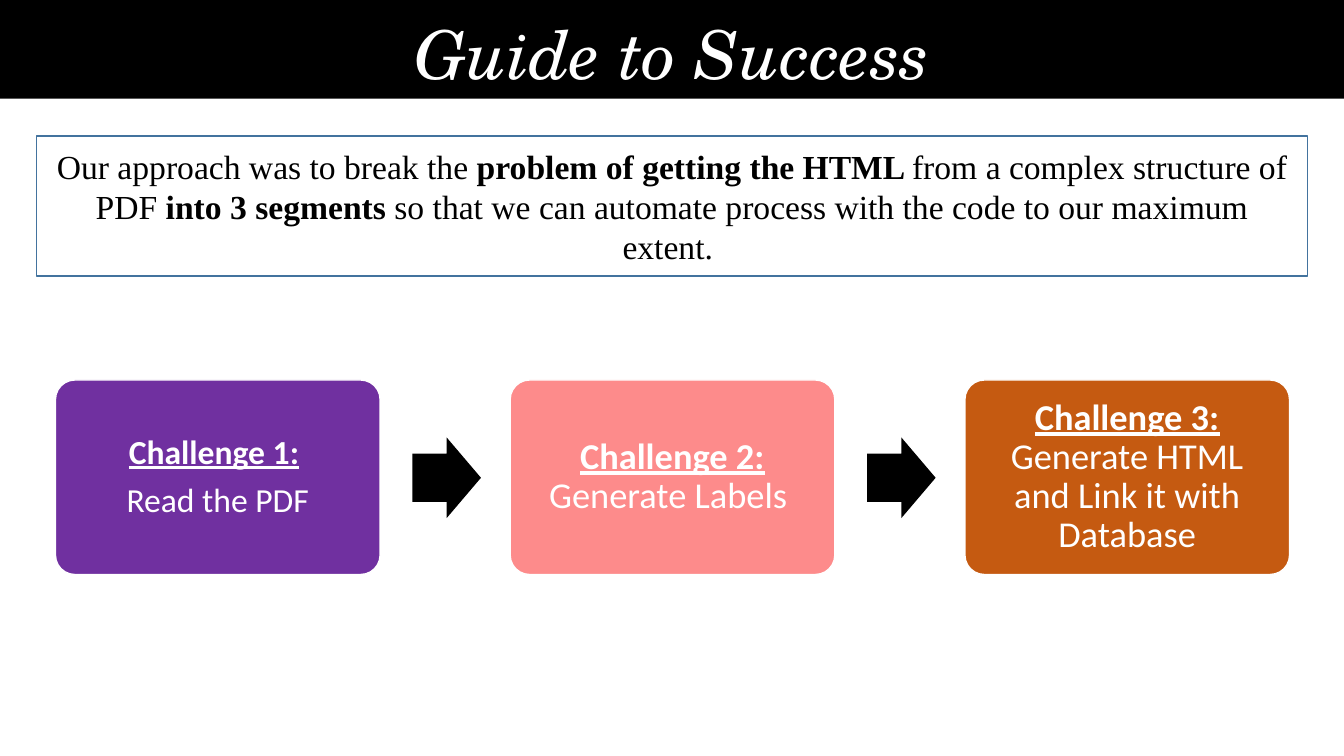
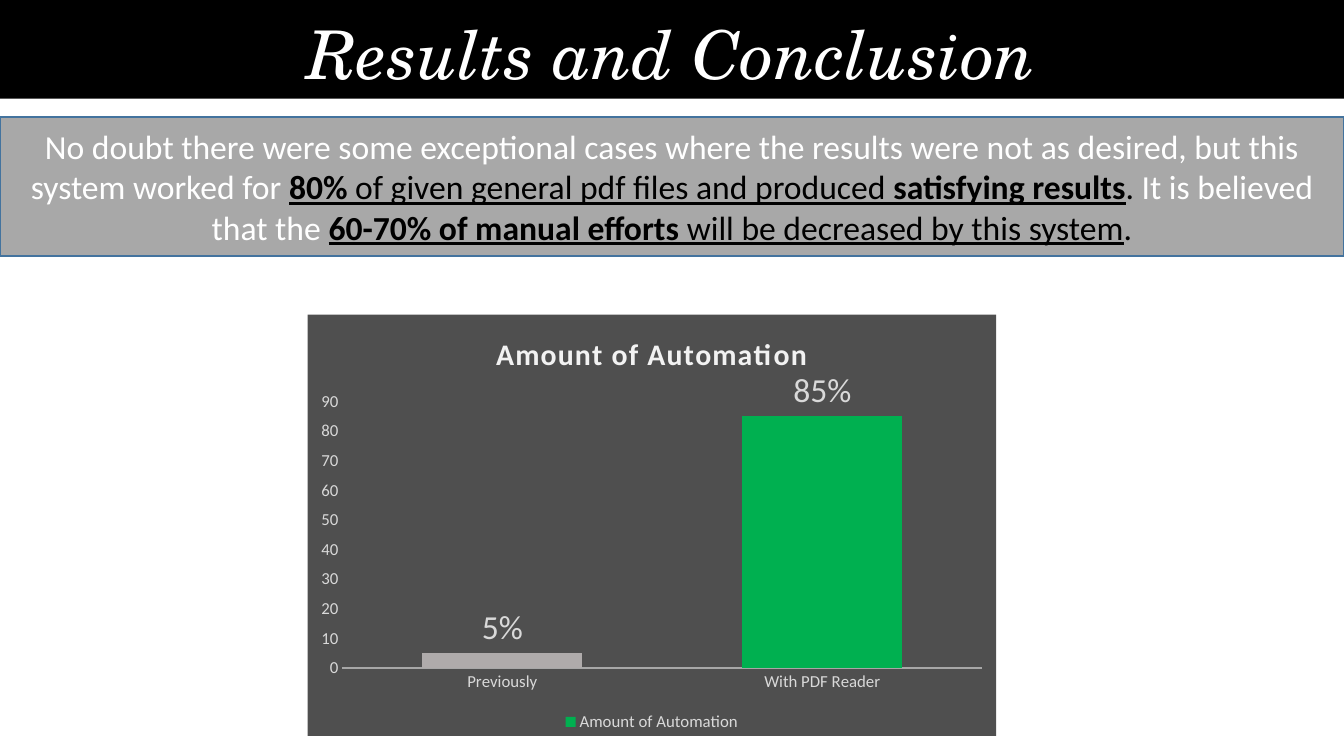
from pptx import Presentation
from pptx.chart.data import CategoryChartData
from pptx.dml.color import RGBColor
from pptx.enum.chart import XL_CHART_TYPE as Chart, XL_LABEL_POSITION as Spot
from pptx.enum.chart import XL_LEGEND_POSITION as Side, XL_TICK_MARK as Tick
from pptx.enum.shapes import MSO_SHAPE as Kind
from pptx.enum.text import MSO_ANCHOR as Anchor, MSO_AUTO_SIZE as Auto, PP_ALIGN as Align
from pptx.oxml import parse_xml
from pptx.oxml.ns import nsdecls, qn
from pptx.util import Inches, Pt

WIDTH, HEIGHT = 13.33, 7.5
BLACK, WHITE, BLUE = "000000", "FFFFFF", "43739E"
GREEN, GRAY, PALE, SOFT, AXIS = "00B050", "AFABAB", "F2F2F2", "D9D9D9", "A7A7A7"
SANS, SERIF, SCRIPT = "Calibri", "Times New Roman", "TeX Gyre Schola"

STEPS = [
    ("7030A0", 24, 0.1, [[("Challenge 1:", "bu"), (" ", "")],
                         [("Read the PDF", "")]]),
    ("FD8B8B", 26, 0.11, [[("Challenge 2: ", "bu"), ("Generate Labels ", "")]]),
    ("C55A11", 26, 0.11, [[("Challenge 3: ", "bu"),
                           ("Generate HTML and Link it with Database", "")]]),
]


def paint(target, color):
    """Give a fill or a line one solid colour."""
    fill = getattr(target, "fill", target)
    fill.solid()
    fill.fore_color.rgb = RGBColor.from_string(color)


def style(font, size, color, face=SANS, marks=""):
    """Set a font; marks holds b, i and u for bold, italic and underline."""
    font.size, font.name = Pt(size), face
    font.bold, font.italic, font.underline = (m in marks for m in "biu")
    font.color.rgb = RGBColor.from_string(color)


def write(frame, paras, size, color, face=SANS, spacing=1.0, after=0):
    """Fill a frame with centred paragraphs of (text, marks[, colour]) runs."""
    frame.word_wrap = True
    for i, runs in enumerate(paras):
        para = frame.paragraphs[0] if i == 0 else frame.add_paragraph()
        para.alignment, para.line_spacing = Align.CENTER, spacing
        para.space_before, para.space_after = Pt(0), Pt(after)
        for text, marks, *tint in runs:
            run = para.add_run()
            run.text = text
            style(run.font, size, tint[0] if tint else color, face, marks)


def add_block(slide, kind, at, fill, line=None):
    shape = slide.shapes.add_shape(kind, *map(Inches, at))
    shape.shadow.inherit = False
    paint(shape, fill)
    if line:
        paint(shape.line, line)
        shape.line.width = Pt(1)
    else:
        shape.line.fill.background()
    shape.text_frame.vertical_anchor = Anchor.MIDDLE
    return shape


def add_panel(slide, at, fill, alpha, runs, color, face):
    """Draw a blue-edged, partly clear box of text."""
    panel = add_block(slide, Kind.RECTANGLE, at, fill, BLUE)
    tone = panel.element.spPr.find(qn("a:solidFill")).find(qn("a:srgbClr"))
    tone.append(parse_xml(f'<a:alpha {nsdecls("a")} val="{alpha * 1000}"/>'))
    write(panel.text_frame, [runs], 24, color, face)


def add_slide(deck, title):
    """Add a slide with the black title band."""
    slide = deck.slides.add_slide(deck.slide_layouts[5])
    band = slide.shapes.title
    band.left, band.top = Inches(0), Inches(0)
    band.width, band.height = Inches(WIDTH), Inches(0.98)
    paint(band, BLACK)
    frame = band.text_frame
    frame.auto_size, frame.vertical_anchor = Auto.NONE, Anchor.BOTTOM
    write(frame, [[(title, "i")]], 48, WHITE, SCRIPT, 0.9)
    return slide


def add_steps(slide):
    left, pitch = 0.55, 4.51
    for i, (fill, size, inset, paras) in enumerate(STEPS):
        x = left + i * pitch
        box = add_block(slide, Kind.ROUNDED_RECTANGLE, (x, 3.77, 3.22, 1.93), fill, WHITE)
        box.adjustments[0] = 0.1
        frame = box.text_frame
        frame.margin_left = frame.margin_right = Inches(inset)
        frame.margin_top = frame.margin_bottom = Inches(inset)
        write(frame, paras, size, WHITE, spacing=0.9, after=size * 0.35)
        if i < len(STEPS) - 1:
            arrow = add_block(slide, Kind.RIGHT_ARROW, (x + 3.54, 4.34, 0.68, 0.8), BLACK)
            arrow.adjustments[0] = 0.6


def add_bars(slide):
    name = "Amount of Automation"
    data = CategoryChartData()
    data.categories = ["Previously", "With PDF Reader"]
    data.add_series(name, (5, 85))
    at = map(Inches, (3.05, 3.12, 6.83, 4.18))
    chart = slide.shapes.add_chart(Chart.COLUMN_CLUSTERED, *at, data).chart
    chart.element.find(qn("c:chart")).addnext(parse_xml(
        f'<c:spPr {nsdecls("c", "a")}><a:solidFill><a:srgbClr val="{BLACK}">'
        '<a:alpha val="69000"/></a:srgbClr></a:solidFill>'
        '<a:ln><a:noFill/></a:ln></c:spPr>'))
    style(chart.font, 12, SOFT)

    run = chart.chart_title.text_frame.paragraphs[0].add_run()
    run.text = name
    style(run.font, 21.3, PALE, marks="b")
    run._r.get_or_add_rPr().set("spc", "100")
    chart.has_legend = True
    chart.legend.position, chart.legend.include_in_layout = Side.BOTTOM, False
    style(chart.legend.font, 12, SOFT)

    cats, vals = chart.category_axis, chart.value_axis
    for axis in (cats, vals):
        axis.major_tick_mark = axis.minor_tick_mark = Tick.NONE
        axis.has_major_gridlines = False
        style(axis.tick_labels.font, 12, SOFT)
    paint(cats.format.line, AXIS)
    cats.format.line.width = Pt(1)
    vals.format.line.fill.background()
    vals.minimum_scale, vals.maximum_scale, vals.major_unit = 0, 90, 10

    plot = chart.plots[0]
    plot.gap_width, plot.overlap, plot.vary_by_categories = 100, -24, False
    bars = plot.series[0]
    paint(bars.format, GREEN)
    paint(bars.points[0].format, GRAY)
    labels = bars.data_labels
    labels.show_value, labels.position = True, Spot.OUTSIDE_END
    labels.number_format, labels.number_format_is_linked = '0"%"', False
    style(labels.font, 24, SOFT)


def main():
    deck = Presentation()
    deck.slide_width, deck.slide_height = Inches(WIDTH), Inches(HEIGHT)

    guide = add_slide(deck, "Guide to Success")
    add_panel(guide, (0.36, 1.35, 12.61, 1.39), WHITE, 73, [
        ("Our approach was to break the ", ""),
        ("problem of getting the HTML ", "b"),
        ("from a complex structure of PDF ", ""),
        ("into 3 segments ", "b"),
        ("so that we can automate process with the code to our maximum extent. ", ""),
    ], BLACK, SERIF)
    add_steps(guide)

    results = add_slide(deck, "Results and Conclusion")
    add_panel(results, (0, 1.16, WIDTH, 1.38), "A5A5A5", 96, [
        ("No doubt there were some exceptional cases where the results "
         "were not as desired, but this system worked for ", ""),
        ("80%", "bu", BLACK),
        (" of given general pdf files and produced ", "u", BLACK),
        ("satisfying results", "bu", BLACK),
        (". ", "", BLACK),
        ("It is believed that the ", ""),
        ("60-70% of manual efforts", "bu", BLACK),
        (" will be decreased by this system", "u", BLACK),
        (".", "", BLACK),
    ], WHITE, SANS)
    add_bars(results)
    deck.save("out.pptx")


if __name__ == "__main__":
    main()
